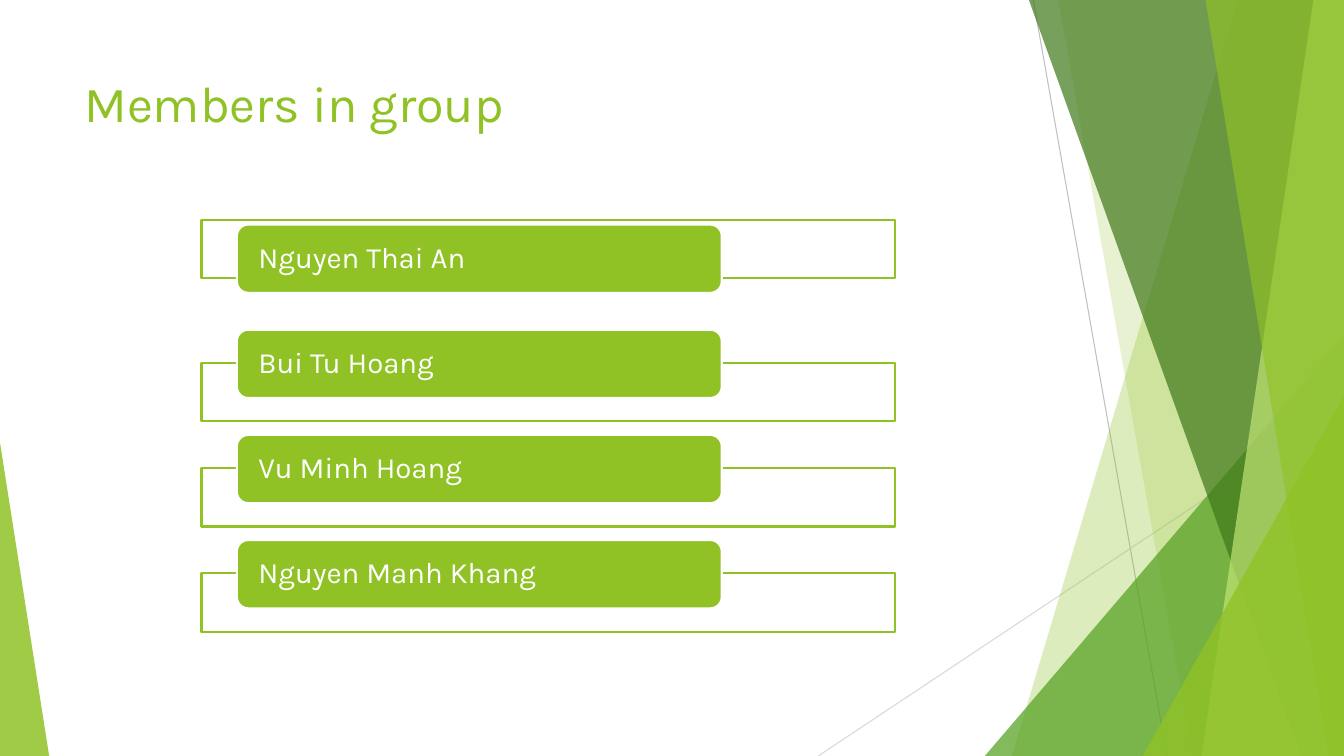
from dataclasses import dataclass

from lxml import etree
from pptx import Presentation
from pptx.dml.color import RGBColor
from pptx.enum.shapes import MSO_CONNECTOR, MSO_SHAPE
from pptx.enum.text import MSO_ANCHOR, PP_ALIGN
from pptx.oxml.ns import qn
from pptx.util import Cm, Pt

LINE = MSO_CONNECTOR.STRAIGHT
TRIANGLE, RECT, ROUNDED = (MSO_SHAPE.ISOSCELES_TRIANGLE, MSO_SHAPE.RECTANGLE,
                           MSO_SHAPE.ROUNDED_RECTANGLE)
LEFT, TOP, MIDDLE = PP_ALIGN.LEFT, MSO_ANCHOR.TOP, MSO_ANCHOR.MIDDLE


@dataclass(frozen=True)
class Theme:
    font: str = "Karla"
    title_size: float = 36
    name_size: float = 21
    green: str = "90C226"
    leaf: str = "54A021"
    forest: str = "3F7819"
    lime: str = "C0E474"
    white: str = "FFFFFF"
    grey: str = "BFBFBF"
    pale_grey: str = "D9D9D9"


theme = Theme()
WIDTH, HEIGHT = 33.87, 19.05


def paint(sp, fill, opacity=100, line=None):
    """Fill a shape with a percentage of opacity and set its outline."""
    sp.shadow.inherit = False
    sp.fill.solid()
    sp.fill.fore_color.rgb = RGBColor.from_string(fill)
    if opacity < 100:
        clr = sp._element.spPr.find(qn("a:solidFill"))[0]
        etree.SubElement(clr, qn("a:alpha"), val=str(opacity * 1000))
    if line:
        sp.line.color.rgb = RGBColor.from_string(line)
        sp.line.width = Pt(1.5)
    else:
        sp.line.fill.background()


def write(sp, text, size, color, **frame):
    """Write one left-aligned paragraph; frame holds text frame settings."""
    tf = sp.text_frame
    for name, value in {"word_wrap": True, **frame}.items():
        setattr(tf, name, value)
    p = tf.paragraphs[0]
    p.alignment = LEFT
    r = p.add_run()
    r.text = text
    for name, value in {"name": theme.font, "size": Pt(size)}.items():
        setattr(r.font, name, value)
    r.font.color.rgb = RGBColor.from_string(color)
    return p


prs = Presentation()
prs.slide_width, prs.slide_height = Cm(WIDTH), Cm(HEIGHT)
s = prs.slides.add_slide(prs.slide_layouts[6])

# Thin lines behind the facets
for x1, y1, x2, y2, color in [
    (26.04, 0, 29.41, HEIGHT, theme.grey),
    (WIDTH, 10.24, 20.62, HEIGHT, theme.pale_grey),
]:
    line = s.shapes.add_connector(LINE, Cm(x1), Cm(y1), Cm(x2), Cm(y2))
    line.line.color.rgb = RGBColor.from_string(color)
    line.line.width = Pt(0.75)
    etree.SubElement(line._element.spPr, qn("a:effectLst"))

# Facets: a band has (top x, bottom x) and runs to the right edge,
# a triangle has (left, top, width, apex position)
for geometry, color, opacity in [
    ((31.19, 25.5), theme.green, 30),
    ((26.67, 30.05), theme.green, 20),
    ((24.82, 8.46, 9.05, 1), theme.leaf, 72),
    ((25.93, 32.79), theme.forest, 70),
    ((33.1, 30.28), theme.lime, 70),
    ((30.38, 33.48), theme.green, 65),
    ((28.8, 9.98, 5.07, 1), theme.green, 80),
    ((0, 11.15, 1.24, 0), theme.green, 85),
]:
    if len(geometry) == 2:
        top_x, bottom_x = geometry
        outline = s.shapes.build_freeform(Cm(top_x), 0)
        outline.add_line_segments([
            (Cm(WIDTH), 0), (Cm(WIDTH), Cm(HEIGHT)), (Cm(bottom_x), Cm(HEIGHT))])
        facet = outline.convert_to_shape()
    else:
        left, top, width, apex = geometry
        facet = s.shapes.add_shape(TRIANGLE, Cm(left), Cm(top),
                                   Cm(width), Cm(HEIGHT - top))
        facet.adjustments[0] = apex
    paint(facet, color, opacity)

# Title
title = s.shapes.add_textbox(Cm(1.88), Cm(1.7), Cm(23.88), Cm(3.66))
write(title, "Members in group", theme.title_size, theme.green,
      vertical_anchor=TOP)

# Members: an outlined frame with a name bar over it
BAR_TOP, BAR_STEP = 5.66, 2.65
members = ["Nguyen Thai An", "Bui Tu Hoang", "Vu Minh Hoang", "Nguyen Manh Khang"]
for i, member in enumerate(members):
    bar_top = BAR_TOP + i * BAR_STEP
    frame_top = bar_top + (0.84 if i else -0.12)
    frame = s.shapes.add_shape(RECT, Cm(5.08), Cm(frame_top), Cm(17.48), Cm(1.47))
    paint(frame, theme.white, 90, theme.green)
    bar = s.shapes.add_shape(ROUNDED, Cm(5.97), Cm(bar_top), Cm(12.22), Cm(1.72))
    paint(bar, theme.green, line=theme.white)
    p = write(bar, member, theme.name_size, theme.white, vertical_anchor=MIDDLE,
              margin_left=Cm(0.46), margin_right=Cm(0.46),
              margin_top=0, margin_bottom=0)
    p.line_spacing = 0.9

prs.save("out.pptx")
